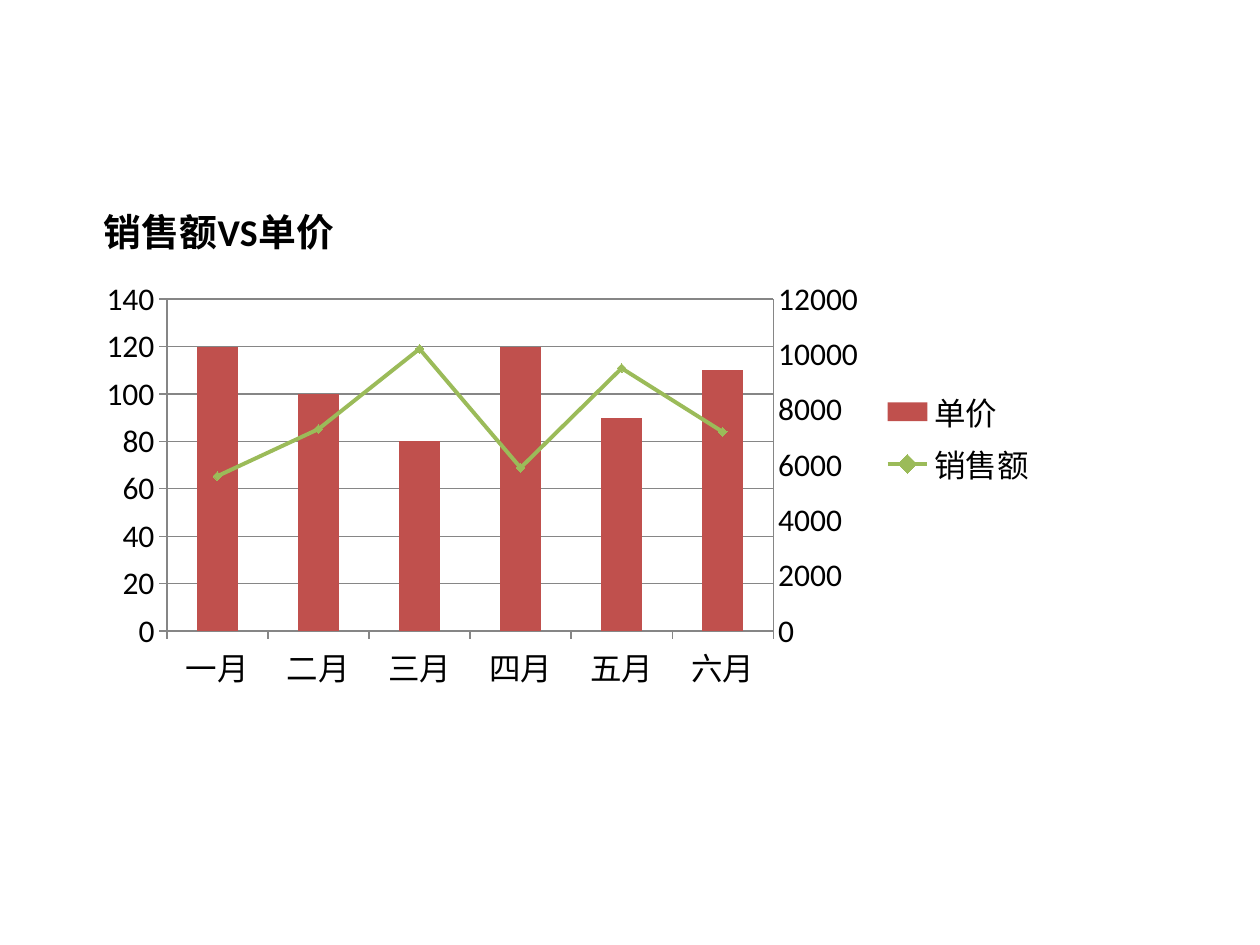
"""Build a slide with a column and line chart of unit price against sales."""
from copy import deepcopy
from lxml import etree
from pptx import Presentation
from pptx.chart.data import CategoryChartData
from pptx.dml.color import RGBColor
from pptx.enum.chart import XL_CHART_TYPE, XL_LEGEND_POSITION, XL_MARKER_STYLE, XL_TICK_MARK
from pptx.oxml import parse_xml
from pptx.oxml.ns import qn
from pptx.util import Inches, Pt

COLUMNS = XL_CHART_TYPE.COLUMN_CLUSTERED
RIGHT = XL_LEGEND_POSITION.RIGHT
DIAMOND = XL_MARKER_STYLE.DIAMOND
OUTSIDE = XL_TICK_MARK.OUTSIDE
NO_TICK = XL_TICK_MARK.NONE
FONT = "Calibri"
COLORS = {"price": "C0504D", "sales": "9BBB59", "text": "000000", "axis": "868686"}
COLORS = {name: RGBColor.from_string(value) for name, value in COLORS.items()}
CHART_NS = 'xmlns:c="http://schemas.openxmlformats.org/drawingml/2006/chart"'


def style_font(font, size, bold):
    font.name = FONT
    font.size = Pt(size)
    font.bold = bold
    font.color.rgb = COLORS["text"]


def place(parent, index, **values):
    for old in parent.findall(qn("c:layout")):
        parent.remove(old)
    items = "".join(f'<c:{key} val="{value}"/>' for key, value in values.items())
    layout = f"<c:layout {CHART_NS}><c:manualLayout>{items}</c:manualLayout></c:layout>"
    parent.insert(index, parse_xml(layout))


deck = Presentation()
deck.slide_width = Inches(10)
deck.slide_height = Inches(7.5)
page = deck.slides.add_slide(deck.slide_layouts[6])

data = CategoryChartData()
data.categories = ["一月", "二月", "三月", "四月", "五月", "六月"]
data.add_series("单价", [120, 100, 80, 120, 90, 110])
data.add_series("销售额", [5600, 7300, 10200, 5900, 9500, 7200])
frame = page.shapes.add_chart(
    COLUMNS, Inches(0.69), Inches(1.39), Inches(7.64), Inches(4.17), data)
chart = frame.chart
style_font(chart.font, 18, False)

chart.has_title = True
title = chart.chart_title
title.text_frame.text = "销售额VS单价"
style_font(title.text_frame.paragraphs[0].runs[0].font, 21.6, True)
chart.has_legend = True
chart.legend.position = RIGHT
chart.legend.include_in_layout = False

for axis in (chart.category_axis, chart.value_axis):
    axis.major_tick_mark = OUTSIDE
    axis.minor_tick_mark = NO_TICK
    axis.format.line.color.rgb = COLORS["axis"]
    axis.format.line.width = Pt(0.75)
chart.value_axis.has_major_gridlines = True
gridline = chart.value_axis.major_gridlines.format.line
gridline.color.rgb = COLORS["axis"]
gridline.width = Pt(0.75)
chart.value_axis.minimum_scale = 0
chart.value_axis.maximum_scale = 140
chart.value_axis.major_unit = 20

plot_area = chart._chartSpace.find(".//" + qn("c:plotArea"))
bars = plot_area.find(qn("c:barChart"))
sales = bars.findall(qn("c:ser"))[1]
for invert in sales.findall(qn("c:invertIfNegative")):
    sales.remove(invert)
line_chart = parse_xml(
    f'<c:lineChart {CHART_NS}><c:grouping val="standard"/><c:varyColors val="0"/>'
    '<c:marker val="1"/><c:axId val="301"/><c:axId val="302"/></c:lineChart>')
line_chart.insert(2, sales)
bars.addnext(line_chart)

left_axis = plot_area.find(qn("c:valAx"))
right_axis = deepcopy(left_axis)
for tag in ("c:majorGridlines", "c:majorUnit"):
    for part in right_axis.findall(qn(tag)):
        right_axis.remove(part)
hidden_axis = deepcopy(plot_area.find(qn("c:catAx")))
left_axis.addnext(right_axis)
right_axis.addnext(hidden_axis)
for axis, own, other in ((right_axis, "302", "301"), (hidden_axis, "301", "302")):
    axis.find(qn("c:axId")).set("val", own)
    axis.find(qn("c:crossAx")).set("val", other)
right_axis.find(qn("c:axPos")).set("val", "r")
right_axis.find(qn("c:crosses")).set("val", "max")
right_axis.find(qn("c:majorTickMark")).set("val", "none")
right_axis.find(qn("c:scaling")).find(qn("c:max")).set("val", "12000")
hidden_axis.find(qn("c:delete")).set("val", "1")
unit = etree.SubElement(right_axis, qn("c:majorUnit"))
unit.set("val", "2000")

columns, lines = chart.plots
columns.gap_width = 150
columns.overlap = -50
columns.vary_by_categories = False
price_fill = columns.series[0].format.fill
price_fill.solid()
price_fill.fore_color.rgb = COLORS["price"]

sales_line = lines.series[0]
sales_line.smooth = False
sales_line.format.line.color.rgb = COLORS["sales"]
sales_line.format.line.width = Pt(2.25)
sales_line.marker.style = DIAMOND
sales_line.marker.size = 5
sales_line.marker.format.fill.solid()
sales_line.marker.format.fill.fore_color.rgb = COLORS["sales"]
sales_line.marker.format.line.color.rgb = COLORS["sales"]

place(plot_area, 0, layoutTarget="inner", xMode="edge", yMode="edge",
      x=0.083, y=0.236, w=0.63, h=0.632)
place(title._element, 1, xMode="edge", yMode="edge", x=0.01, y=0.03)

deck.save("out.pptx")
